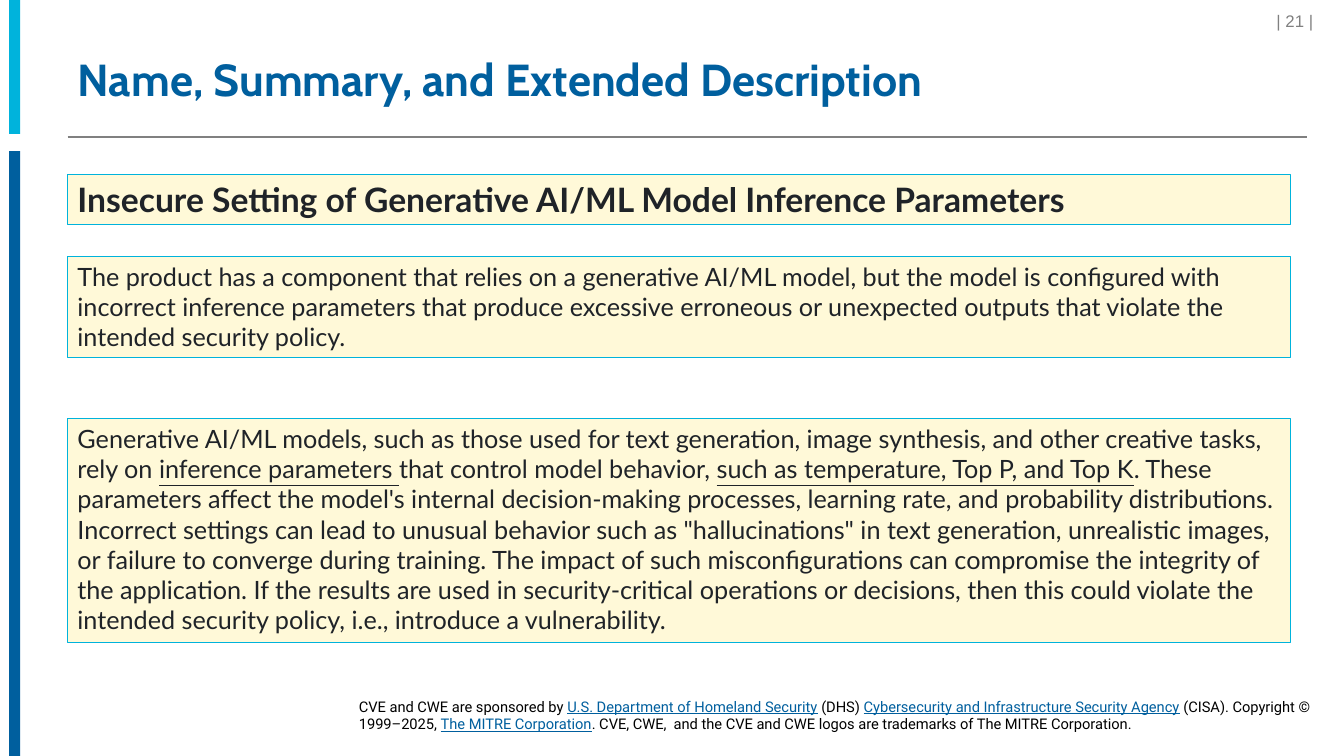
from pptx import Presentation
from pptx.dml.color import RGBColor
from pptx.enum.shapes import MSO_SHAPE as Kind, MSO_CONNECTOR as Link
from pptx.enum.text import MSO_ANCHOR as Anchor, MSO_AUTO_SIZE as Auto, PP_ALIGN as Align
from pptx.util import Inches, Pt
from lxml import etree

CYAN, BLUE, GRAY, CREAM, INK = "00B3DC", "005F9E", "808080", "FFF9D8", "1F2328"


def tint(color):
    return RGBColor.from_string(color)


def write(frame, parts, color, align=Align.LEFT, mark=None, **form):
    frame.word_wrap = True
    frame.auto_size = Auto.NONE
    para = frame.paragraphs[0]
    para.alignment = align
    for i, text in enumerate(parts):
        run = para.add_run()
        run.text = text
        odd = i % 2 == 1
        for key, val in form.items():
            setattr(run.font, key, val)
        run.font.underline = odd
        run.font.color.rgb = tint(mark if odd and mark else color)


deck = Presentation()
deck.slide_width, deck.slide_height = Inches(13.33), Inches(7.5)
slide = deck.slides.add_slide(deck.slide_layouts[5])
shapes = slide.shapes

for top, high, color in [(0, 1.33, CYAN), (1.5, 6, BLUE)]:
    bar = shapes.add_shape(Kind.RECTANGLE, Inches(0.09), Inches(top), Inches(0.11), Inches(high))
    bar.shadow.inherit = False
    bar.fill.solid()
    bar.fill.fore_color.rgb = tint(color)
    bar.line.fill.background()

rule = shapes.add_connector(Link.STRAIGHT, Inches(0.67), Inches(1.36), Inches(12.96), Inches(1.36))
rule.line.color.rgb = tint(GRAY)
rule.line.width = Pt(1)
space = "http://schemas.openxmlformats.org/drawingml/2006/main"
etree.SubElement(rule.element.spPr, f"{{{space}}}effectLst")

title = shapes.title
title.left, title.top = Inches(0.67), Inches(0.4)
title.width, title.height = Inches(12.29), Inches(0.82)
write(title.text_frame, ["Name, Summary, and Extended Description"], BLUE,
      size=Pt(32), name="Cabin", bold=True)
title.text_frame.vertical_anchor = Anchor.MIDDLE
title.text_frame.paragraphs[0].line_spacing = 0.9

page = shapes.add_textbox(Inches(11.24), Inches(0.06), Inches(1.93), Inches(0.28))
write(page.text_frame, ["| 21 | "], GRAY, Align.RIGHT, size=Pt(12), name="Arial")

name = ["Insecure Setting of Generative AI/ML Model Inference Parameters"]
brief = [
    "The product has a component that relies on a generative AI/ML model, but the model is "
    "configured with incorrect inference parameters that produce excessive erroneous or "
    "unexpected outputs that violate the intended security policy."
]
detail = [
    "Generative AI/ML models, such as those used for text generation, image synthesis, and "
    "other creative tasks, rely on ",
    "inference parameters ",
    "that control model behavior, ",
    "such as temperature, Top P, and Top K",
    ". These parameters affect the model's internal decision-making processes, learning rate, "
    "and probability distributions. Incorrect settings can lead to unusual behavior such as "
    '"hallucinations" in text generation, unrealistic images, or failure to converge during '
    "training. The impact of such misconfigurations can compromise the integrity of the "
    "application. If the results are used in security-critical operations or decisions, then "
    "this could violate the intended security policy, i.e., introduce a vulnerability.",
]
for top, high, parts, size, bold in [
    (1.73, 0.5, name, 24, True),
    (2.54, 1.01, brief, 18, False),
    (4.15, 2.22, detail, 18, False),
]:
    box = shapes.add_shape(Kind.RECTANGLE, Inches(0.67), Inches(top), Inches(12.13), Inches(high))
    box.shadow.inherit = False
    box.fill.solid()
    box.fill.fore_color.rgb = tint(CREAM)
    box.line.color.rgb = tint(CYAN)
    box.line.width = Pt(0.75)
    box.text_frame.vertical_anchor = Anchor.TOP
    write(box.text_frame, parts, INK, size=Pt(size), name="Lato", bold=bold)

foot = shapes.add_textbox(Inches(3.51), Inches(6.87), Inches(9.54), Inches(0.45))
foot.text_frame.margin_left = foot.text_frame.margin_right = Inches(0.05)
write(foot.text_frame, [
    "CVE and CWE are sponsored by ",
    "U.S. Department of Homeland Security",
    " (DHS) ",
    "Cybersecurity and Infrastructure Security Agency",
    " (CISA). Copyright © 1999–2025, ",
    "The MITRE Corporation",
    ". CVE, CWE,  and the CVE and CWE logos are trademarks of The MITRE Corporation.",
], "000000", mark=BLUE, size=Pt(10.5), name="Roboto")

deck.save("out.pptx")
